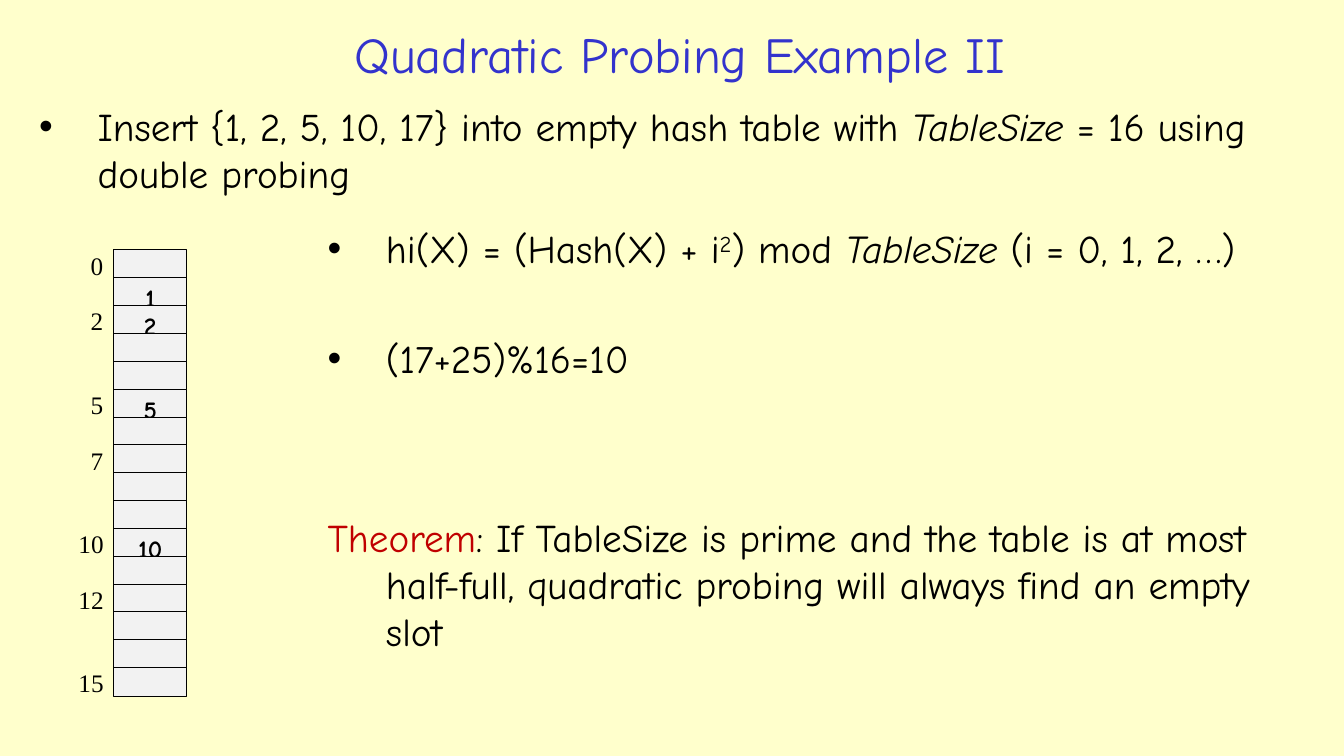
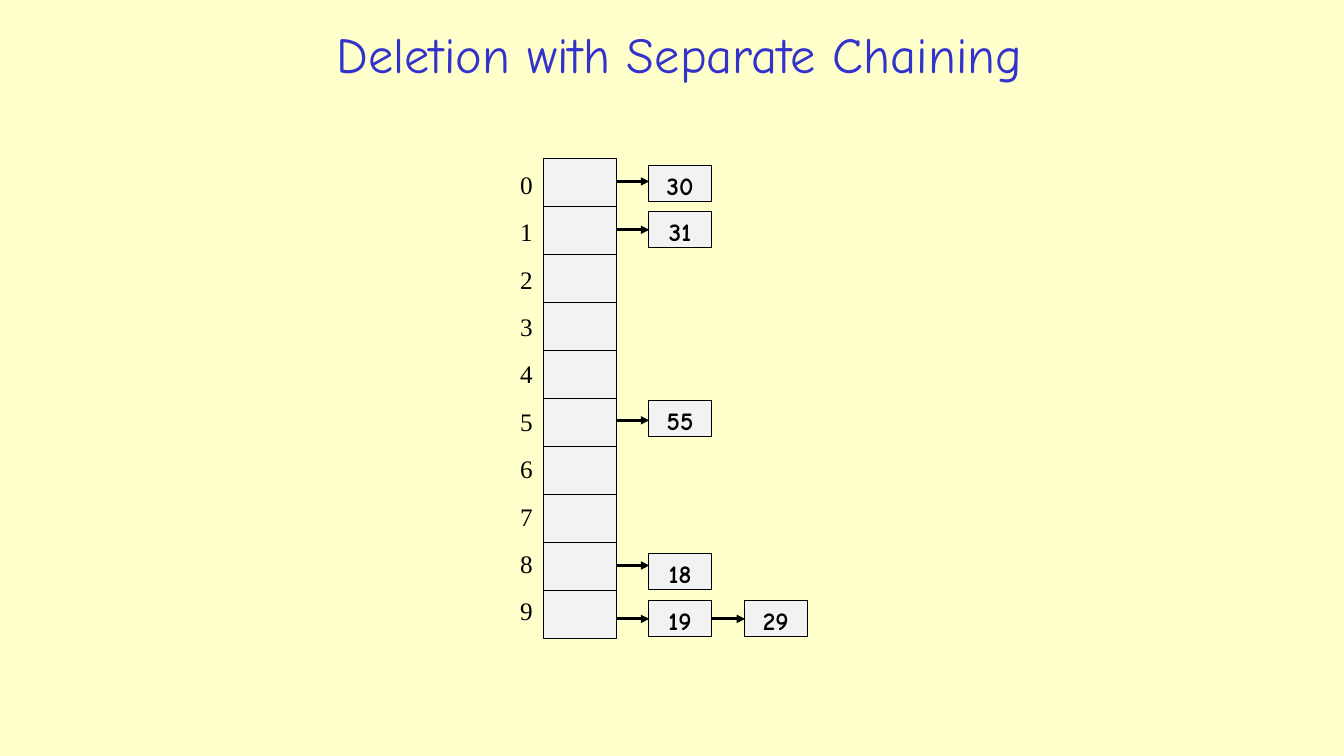
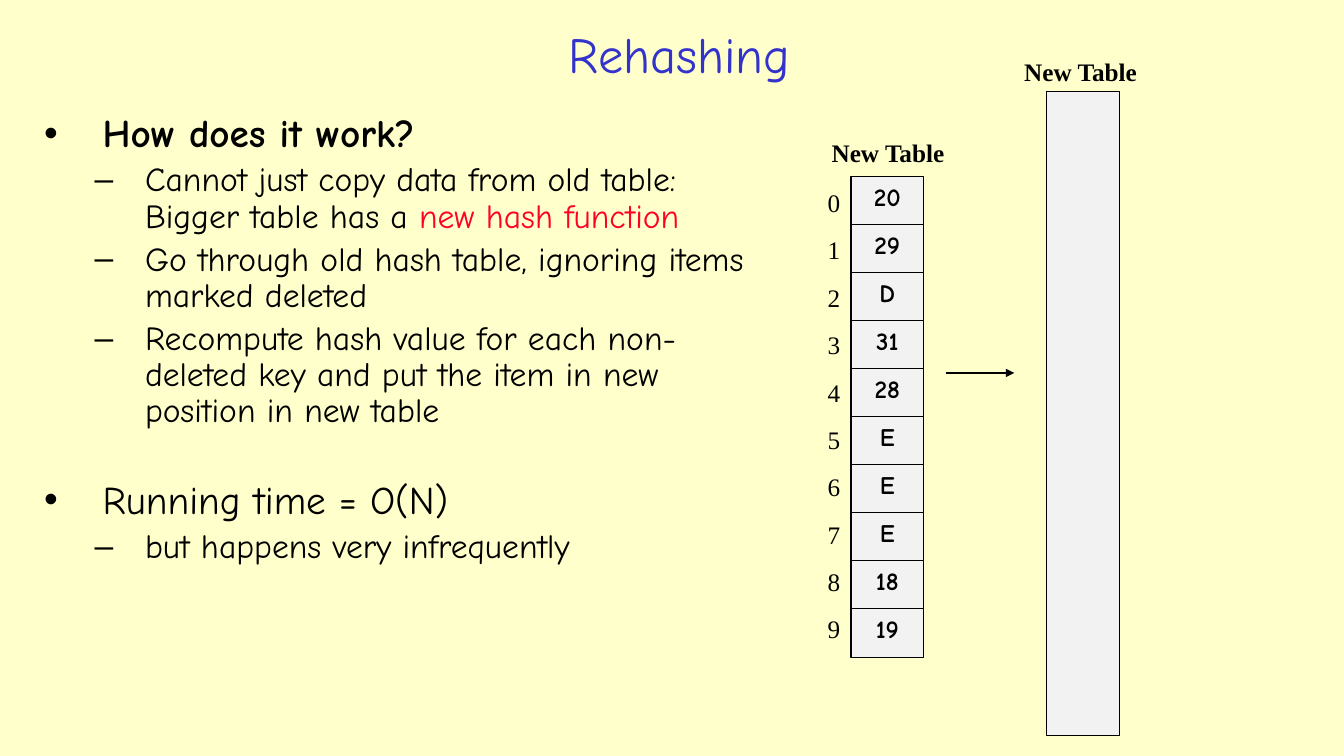
from collections import namedtuple

from lxml import etree
from pptx import Presentation
from pptx.dml.color import RGBColor
from pptx.enum.shapes import MSO_CONNECTOR, MSO_SHAPE
from pptx.enum.text import MSO_ANCHOR, MSO_AUTO_SIZE, PP_ALIGN
from pptx.oxml.ns import qn
from pptx.util import Inches, Pt

RECTANGLE = MSO_SHAPE.RECTANGLE
STRAIGHT = MSO_CONNECTOR.STRAIGHT
TOP, MIDDLE = MSO_ANCHOR.TOP, MSO_ANCHOR.MIDDLE
LEFT, CENTER = PP_ALIGN.LEFT, PP_ALIGN.CENTER
NO_FIT = MSO_AUTO_SIZE.NONE

COLOURS = {
    "page": "FFFFCC",
    "title": "3333CC",
    "text": "000000",
    "cell": "F2F2F2",
    "theorem": "C00000",
    "accent": "FD0128",
}
SANS, SERIF = "Comic Neue", "Times New Roman"
PAGE_WIDTH, PAGE_HEIGHT = 13.33, 7.5
CELL_WIDTH = 0.72
CELL_OVERLAP = 0.01
LABEL_HEIGHT = 0.4
LABEL_WIDTHS = {1: 0.33, 2: 0.45}
NODE_STEP = 0.95
ARROW_REACH = 0.32

Box = namedtuple("Box", "left top width height")
Span = namedtuple("Span", "text style", defaults=({},))
Item = namedtuple("Item", "spans style", defaults=({},))

TITLE_BOX = Box(1.97, 0.15, 9.54, 0.76)
TITLE = {"size": 36, "name": SANS, "colour": "title"}
CELL = {"size": 18, "name": SANS, "bold": True}
LABEL = {"size": 18, "name": SERIF}
CAPTION = {**LABEL, "bold": True}
BODY = {"size": 28, "name": SANS}
ITALIC = {"italic": True}

HANGING = {"margin": 0.58, "indent": -0.58}
BULLET = {**HANGING, "bullet": "•", "before": 5.6}
TIGHT = {**BULLET, "spacing": 0.9}
DASH = {"margin": 1, "indent": -0.5, "bullet": "–", "before": 4.8,
        "spacing": 0.9, "level": 1, "size": 24}


def place(box):
    """Turn a box in inches into slide lengths."""
    return [Inches(round(length, 3)) for length in box]


def add_span(para, text, style):
    """Add one run of text with the given format values."""
    values = dict(style)
    span = para.add_run()
    span.text = text
    span.font.color.rgb = RGBColor.from_string(COLOURS[values.pop("colour", "text")])
    span.font.size = Pt(values.pop("size"))
    if "baseline" in values:
        span._r.get_or_add_rPr().set("baseline", values.pop("baseline"))
    for name, value in values.items():
        setattr(span.font, name, value)


def format_item(para, style, first):
    """Set the bullet, indents and spacing of a paragraph."""
    properties = para._p.get_or_add_pPr()
    for name, key in (("marL", "margin"), ("indent", "indent")):
        properties.set(name, str(Inches(style[key])))
    if "bullet" in style:
        etree.SubElement(properties, qn("a:buFont"), typeface="Arial")
        etree.SubElement(properties, qn("a:buChar"), char=style["bullet"])
    para.level = style.get("level", 0)
    para.line_spacing = style.get("spacing", 1.0)
    para.space_before = Pt(0 if first else style.get("before", 0))


def add_items(slide, box, items):
    """Write a wrapped block of indented paragraphs."""
    frame = slide.shapes.add_textbox(*place(box)).text_frame
    frame.word_wrap = True
    for index, item in enumerate(items):
        para = frame.add_paragraph() if index else frame.paragraphs[0]
        format_item(para, item.style, index == 0)
        size = item.style.get("size", BODY["size"])
        for span in item.spans:
            add_span(para, span.text, {**BODY, "size": size, **span.style})


def add_label(slide, box, text, style):
    """Write a one-line label beside or above a table."""
    frame = slide.shapes.add_textbox(*place(box)).text_frame
    frame.word_wrap = False
    frame.paragraphs[0].alignment = LEFT
    add_span(frame.paragraphs[0], text, style)


def add_cell(slide, box, text=""):
    """Draw one bordered cell with an optional key."""
    cell = slide.shapes.add_shape(RECTANGLE, *place(box))
    cell.shadow.inherit = False
    cell.fill.solid()
    cell.fill.fore_color.rgb = RGBColor.from_string(COLOURS["cell"])
    cell.line.color.rgb = RGBColor.from_string(COLOURS["text"])
    cell.line.width = Pt(0.75)
    cell.text_frame.vertical_anchor = TOP
    if text:
        para = cell.text_frame.paragraphs[0]
        para.alignment = CENTER
        add_span(para, text, CELL)


def add_arrow(slide, start, end, level):
    """Draw a horizontal arrow at the given level."""
    ends = [Inches(length) for length in (start, level, end, level)]
    arrow = slide.shapes.add_connector(STRAIGHT, *ends)
    arrow.line.color.rgb = RGBColor.from_string(COLOURS["text"])
    arrow.line.width = Pt(2)
    etree.SubElement(arrow.line._get_or_add_ln(), qn("a:tailEnd"), type="triangle")
    etree.SubElement(arrow._element.spPr, qn("a:effectLst"))


def add_hash_table(slide, box, keys):
    """Stack one cell for each key so that they fill the box."""
    pitch = box.height / len(keys)
    for row, key in enumerate(keys):
        top = box.top + row * pitch
        add_cell(slide, Box(box.left, top, box.width, pitch + CELL_OVERLAP), key)


def add_row_numbers(slide, box, rows, shown):
    """Number the shown rows, with the labels ending at the left of the box."""
    for row in shown:
        width = LABEL_WIDTHS[len(str(row))]
        top = box.top + row * box.height / rows
        add_label(slide, Box(box.left - width, top, width, LABEL_HEIGHT), str(row), LABEL)


def add_chain(slide, box, drop, keys):
    """Draw linked nodes from the first box, each reached by an arrow."""
    for index, key in enumerate(keys):
        node = box._replace(left=box.left + index * NODE_STEP)
        add_cell(slide, node, key)
        add_arrow(slide, node.left - ARROW_REACH, node.left + 0.01, node.top + drop)


def start_slide(deck, title):
    """Add a title-only slide and set its title."""
    slide = deck.slides.add_slide(deck.slide_layouts[5])
    holder = slide.shapes.title
    holder.left, holder.top, holder.width, holder.height = place(TITLE_BOX)
    frame = holder.text_frame
    frame.auto_size = NO_FIT
    frame.vertical_anchor = MIDDLE
    frame.paragraphs[0].alignment = CENTER
    add_span(frame.paragraphs[0], title, TITLE)
    return slide


def build_probing(deck):
    """Build the quadratic probing slide."""
    slide = start_slide(deck, "Quadratic Probing Example II")
    add_items(slide, Box(0.29, 0.97, 12.68, 0.94), [
        Item([Span("Insert {1, 2, 5, 10, 17} into empty hash table with "),
              Span("TableSize ", ITALIC), Span("= 16 using double probing")], BULLET),
    ])
    table = Box(1.13, 2.48, CELL_WIDTH, 4.42)
    stored = (1, 2, 5, 10)
    add_hash_table(slide, table, [str(row) if row in stored else "" for row in range(16)])
    add_row_numbers(slide, table._replace(top=2.43), 16, (0, 2, 5, 7, 10, 12, 15))
    add_items(slide, Box(3.15, 2.18, 9.95, 2.65), [
        Item([Span("hi(X) = (Hash(X) + i"), Span("2", {"baseline": "30000"}),
              Span(") mod "), Span("TableSize ", ITALIC),
              Span("(i = 0, 1, 2, …)")], BULLET),
        Item([Span("(17+25)%16=10")], {**BULLET, "before": 45}),
    ])
    add_items(slide, Box(3.15, 5.04, 9.82, 1.51), [
        Item([Span("Theorem", {"colour": "theorem"}),
              Span(": If TableSize is prime and the table is at most half-full, "
                   "quadratic probing will always find an empty slot")], HANGING),
    ])


def build_chaining(deck):
    """Build the separate chaining slide."""
    slide = start_slide(deck, "Deletion with Separate Chaining")
    table = Box(5.39, 1.57, CELL_WIDTH, 4.76)
    add_hash_table(slide, table, [""] * 10)
    add_row_numbers(slide, table._replace(top=1.63, height=4.7), 10, range(10))
    chains = [
        (1.64, 0.16, ["30"]),
        (2.1, 0.18, ["31"]),
        (3.97, 0.2, ["55"]),
        (5.49, 0.12, ["18"]),
        (5.96, 0.18, ["19", "29"]),
    ]
    for top, drop, keys in chains:
        add_chain(slide, Box(6.43, top, 0.63, 0.36), drop, keys)


def build_rehashing(deck):
    """Build the rehashing slide."""
    slide = start_slide(deck, "Rehashing")
    add_items(slide, Box(0.34, 1.08, 7.23, 5.86), [
        Item([Span("How does it work?", {"bold": True})], TIGHT),
        Item([Span("Cannot just copy data from old table: Bigger table has a "),
              Span("new hash function", {"colour": "accent"})], DASH),
        Item([Span("Go through old hash table, ignoring items marked deleted")], DASH),
        Item([Span("Recompute hash value for each non-deleted key and put "
                   "the item in new position in new table")], DASH),
        Item([Span("Running time = O(N)")], {**TIGHT, "before": 36}),
        Item([Span("but happens very infrequently")], DASH),
    ])
    table = Box(8.44, 1.75, CELL_WIDTH, 4.76)
    add_hash_table(slide, table, "20 29 D 31 28 E E E 18 19".split())
    add_row_numbers(slide, table._replace(top=1.81, height=4.7), 10, range(10))
    add_cell(slide, Box(10.38, 0.91, CELL_WIDTH, 6.39))
    add_arrow(slide, 9.38, 10.06, 3.7)
    for left, top in ((10.06, 0.51), (8.15, 1.31)):
        add_label(slide, Box(left, top, 1.33, LABEL_HEIGHT), "New Table", CAPTION)


def main():
    """Build and save the deck."""
    deck = Presentation()
    deck.slide_width, deck.slide_height = Inches(PAGE_WIDTH), Inches(PAGE_HEIGHT)
    fill = deck.slide_master.background.fill
    fill.solid()
    fill.fore_color.rgb = RGBColor.from_string(COLOURS["page"])
    for build in (build_probing, build_chaining, build_rehashing):
        build(deck)
    deck.save("out.pptx")


if __name__ == "__main__":
    main()
